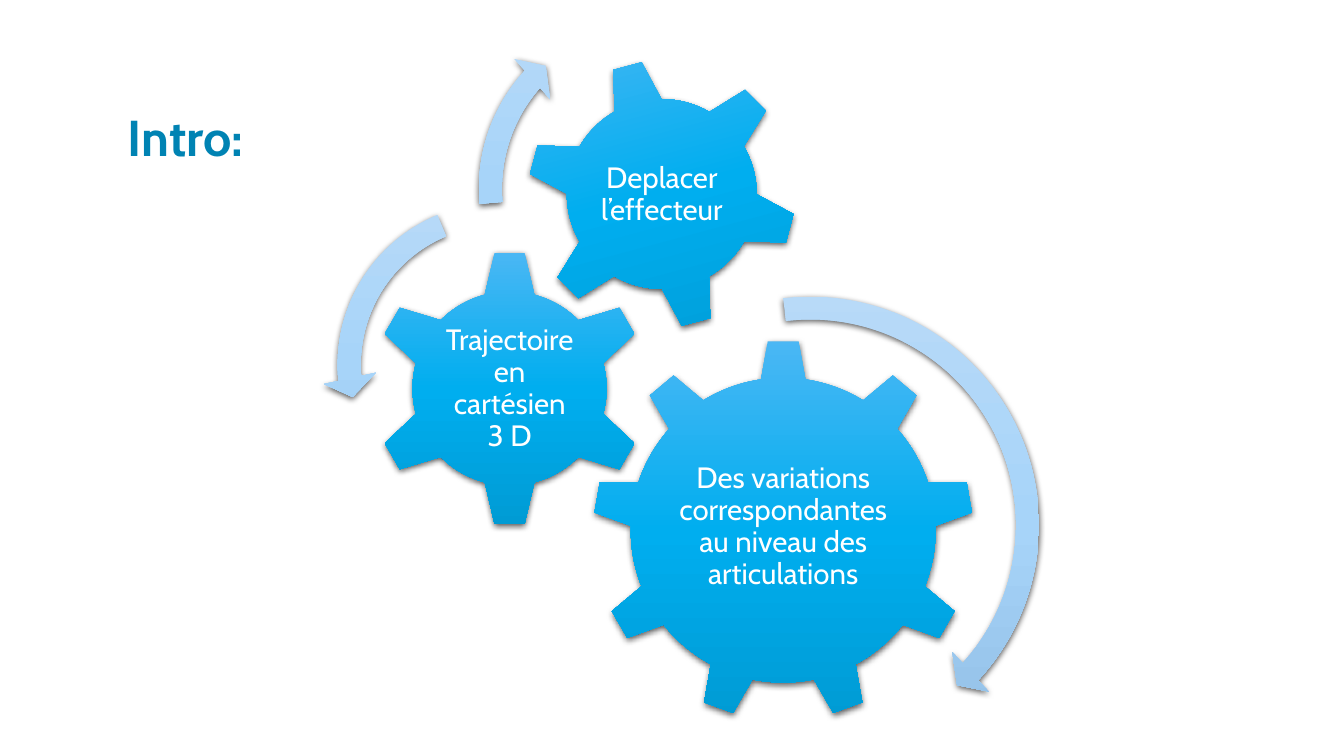
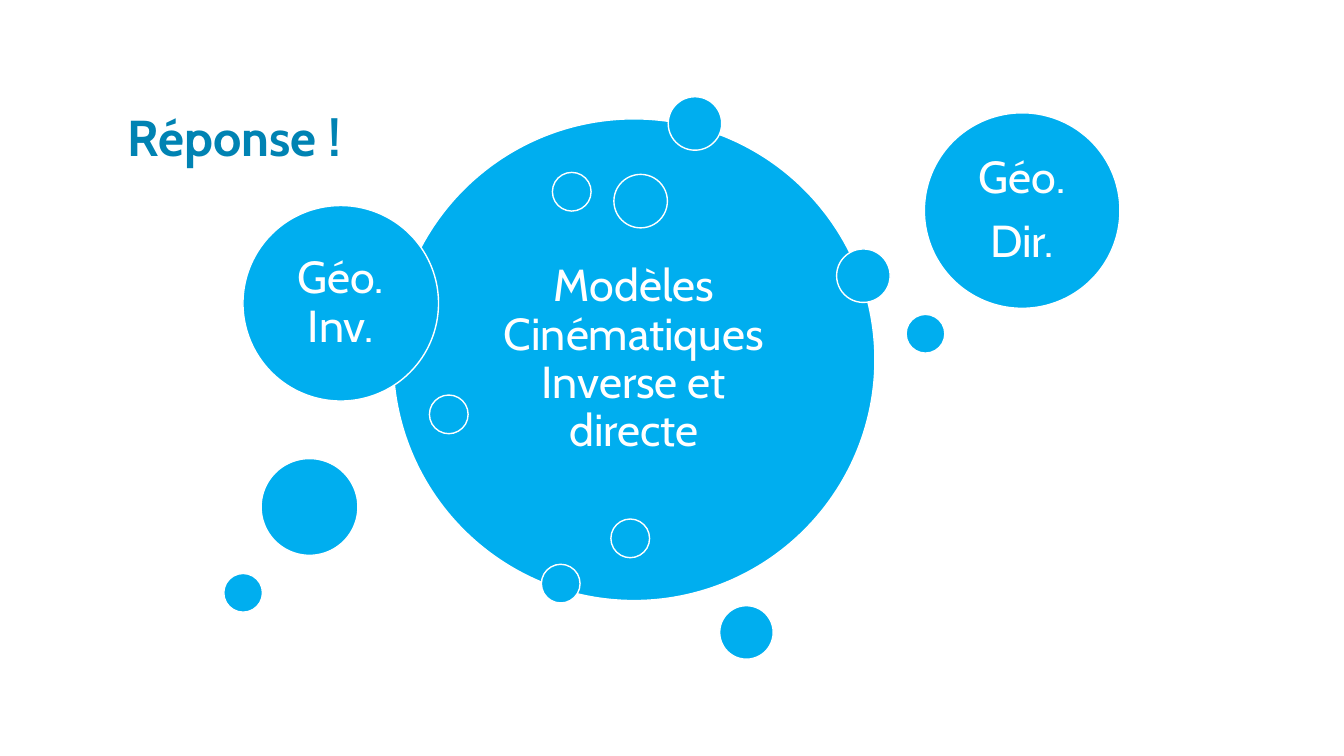
from lxml import etree
from pptx import Presentation
from pptx.dml.color import RGBColor
from pptx.enum.shapes import MSO_SHAPE as Preset
from pptx.enum.text import MSO_ANCHOR as Anchor, PP_ALIGN as Align
from pptx.oxml import parse_xml
from pptx.oxml.ns import nsdecls, qn
from pptx.util import Inches, Pt

FONT = "Cabin"
COLORS = {"title": "0083B3", "blue": "00AEEF", "white": "FFFFFF", "shadow": "000000"}
GRADIENTS = {
    "gear": ("4BB7F4", "00AEEF", "009BD4"),
    "arrow": ("B8DAF8", "A7D4F9", "8FBCE3"),
}

presentation = Presentation()
presentation.slide_width = Inches(13.33)
presentation.slide_height = Inches(7.5)
COLUMN = presentation.slide_width / 100


def write(shape, lines, size, color, margin, spacing, anchor=Anchor.MIDDLE,
          align=Align.CENTER, bold=False, after=0.35):
    frame = shape.text_frame
    frame.word_wrap = True
    frame.vertical_anchor = anchor
    frame.margin_left = frame.margin_right = Inches(margin)
    frame.margin_top = frame.margin_bottom = Inches(min(margin, 0.13))
    frame.text = "\n".join(lines)
    for paragraph in frame.paragraphs:
        paragraph.alignment = align
        paragraph.line_spacing = spacing
        paragraph.space_after = Pt(size * after)
        paragraph.font.name = FONT
        paragraph.font.size = Pt(size)
        paragraph.font.bold = bold
        paragraph.font.color.rgb = RGBColor.from_string(COLORS[color])


def add_glossy(slide, preset, left, top, size, gradient):
    shape = slide.shapes.add_shape(preset, *(round(n * COLUMN) for n in (left, top, size, size)))
    shape.line.fill.background()
    shape.shadow.inherit = False
    properties = shape._element.spPr
    stops = "".join(
        f'<a:gs pos="{index * 50000}"><a:srgbClr val="{color}"/></a:gs>'
        for index, color in enumerate(GRADIENTS[gradient])
    )
    properties.find(qn("a:ln")).addprevious(parse_xml(
        f'<a:gradFill rotWithShape="1" {nsdecls("a")}><a:gsLst>{stops}</a:gsLst>'
        '<a:lin ang="5400000" scaled="0"/></a:gradFill>'
    ))
    shadow = etree.SubElement(
        properties.find(qn("a:effectLst")), qn("a:outerShdw"),
        blurRad=str(Pt(4.5)), dist=str(Pt(1.5)), dir="5400000", algn="ctr", rotWithShape="0",
    )
    color = etree.SubElement(shadow, qn("a:srgbClr"), val=COLORS["shadow"])
    etree.SubElement(color, qn("a:alpha"), val="63000")
    return shape


slides = []
for title in ("Intro:", "Réponse !"):
    slide = presentation.slides.add_slide(presentation.slide_layouts[6])
    box = slide.shapes.add_textbox(*(round(n * COLUMN) for n in (8.78, 4.35, 71.25, 8.78)))
    write(box, [title], 36, "title", 0.1, 0.8, Anchor.BOTTOM, Align.LEFT, True, 0)
    slides.append(slide)
intro, answer = slides

gears = [
    (Preset.GEAR_9, 44.1, 25.28, 28.35, 0, (49.8, 31.95, 16.95, 14.55),
     "Des variations correspondantes au niveau des articulations"),
    (Preset.GEAR_6, 27.6, 18.6, 20.63, 0, (32.78, 23.85, 10.28, 10.2),
     "Trajectoire en cartésien 3 D"),
    (Preset.GEAR_6, 39.15, 4.35, 20.18, 345, (43.58, 8.85, 11.33, 11.33),
     "Deplacer l’effecteur"),
]
for preset, left, top, size, rotation, label_area, label in gears:
    gear = add_glossy(intro, preset, left, top, size, "gear")
    gear.rotation = rotation
    box = intro.shapes.add_textbox(*(round(n * COLUMN) for n in label_area))
    write(box, [label], 21, "white", 0.03, 0.9)

arrows = [
    (Preset.CIRCULAR_ARROW, 42.15, 20.93, 36.3, (47, 2990, 25507, 157889, 55)),
    (Preset.LEFT_CIRCULAR_ARROW, 24, 13.95, 26.4, (65, 4300, 104891, 148378, 75)),
    (Preset.CIRCULAR_ARROW, 34.5, -0.15, 28.43, (60, 3941, 133138, 105082, 70)),
]
for preset, left, top, size, adjustments in arrows:
    arrow = add_glossy(intro, preset, left, top, size, "arrow")
    for index, thousandths in enumerate(adjustments):
        arrow.adjustments[index] = thousandths / 1000

DIAMETERS = {"main": 35.85, "model": 14.55, "large": 7.2, "small": 3.98, "tiny": 2.88}
bubbles = [
    ("main", 29.25, 8.85, ["Modèles Cinématiques Inverse et directe"]),
    ("small", 49.72, 7.2, []),
    ("tiny", 40.28, 42, []),
    ("tiny", 67.42, 23.4, []),
    ("small", 53.55, 45.08, []),
    ("tiny", 41.1, 12.83, []),
    ("tiny", 31.95, 29.4, []),
    ("model", 18.08, 15.3, ["Géo. Inv."]),
    ("small", 45.68, 12.98, []),
    ("large", 19.43, 34.13, []),
    ("model", 68.78, 8.4, ["Géo.", "Dir."]),
    ("small", 62.25, 18.53, []),
    ("tiny", 16.65, 42.68, []),
    ("tiny", 45.45, 38.63, []),
]
for kind, left, top, lines in bubbles:
    diameter = DIAMETERS[kind]
    bubble = answer.shapes.add_shape(
        Preset.OVAL, *(round(n * COLUMN) for n in (left, top, diameter, diameter)))
    bubble.shadow.inherit = False
    bubble.fill.solid()
    bubble.fill.fore_color.rgb = RGBColor.from_string(COLORS["blue"])
    bubble.line.color.rgb = RGBColor.from_string(COLORS["white"])
    bubble.line.width = Pt(1)
    if lines:
        write(bubble, lines, 32, "white", 0.13, 0.9)

presentation.save("out.pptx")
